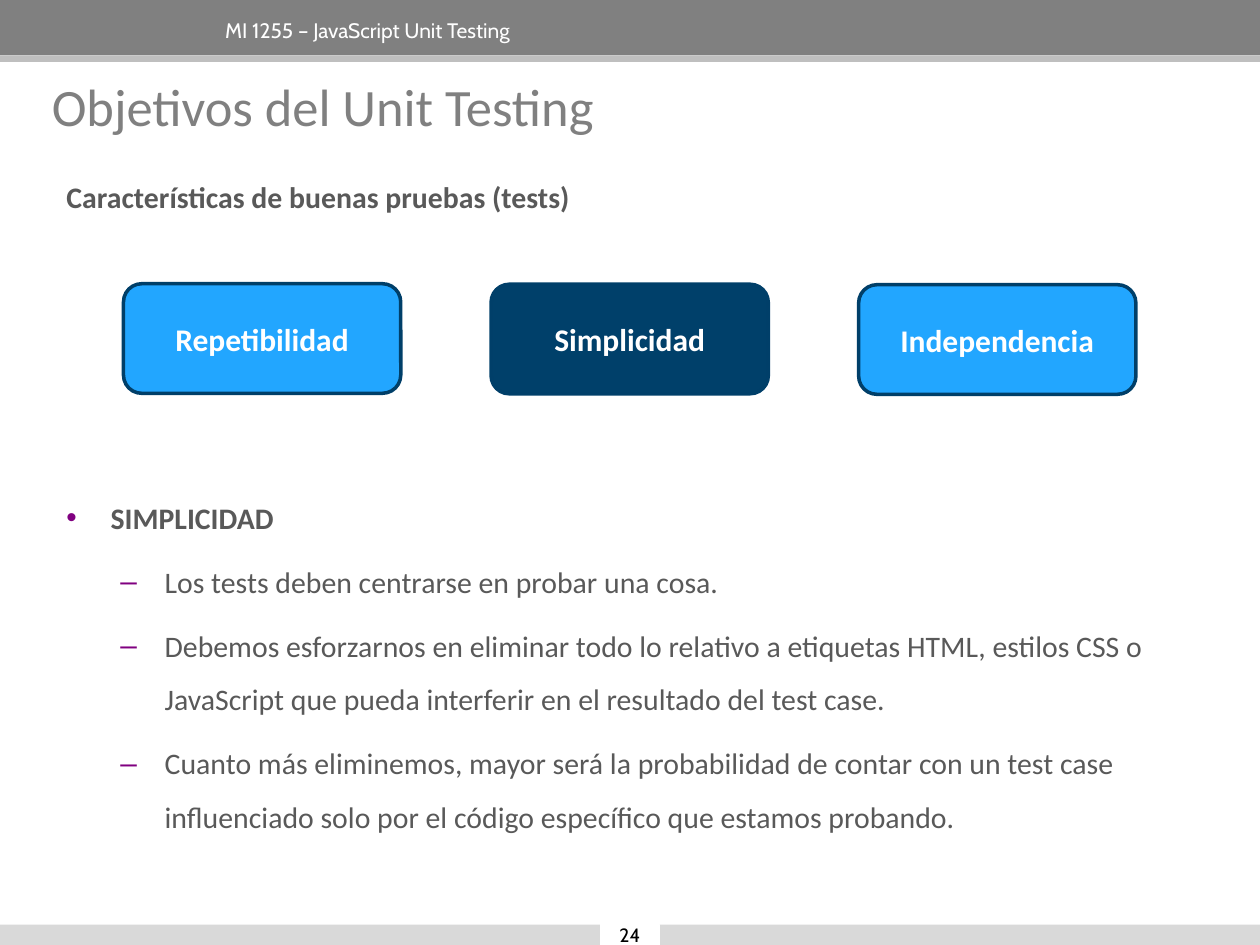
from lxml import etree
from pptx import Presentation
from pptx import util as u
from pptx.dml.color import RGBColor
from pptx.enum import shapes, text
from pptx.oxml.ns import qn

COLORS = {
    "header": "808080", "stripe": "BFBFBF", "footer": "D9D9D9", "white": "FFFFFF",
    "black": "000000", "body": "595959", "bullet": "800080",
    "option": "22A6FF", "chosen": "00406A", "border": "003F69",
}
FORMATS = {
    "header": {"name": "Cabin", "size": u.Pt(12), "color": "white"},
    "number": {"name": "Cabin", "size": u.Pt(11), "color": "black"},
    "title": {"name": "Calibri", "size": u.Pt(30), "color": "header"},
    "body": {"name": "Calibri", "size": u.Pt(17), "color": "body", "bold": False},
    "strong": {"name": "Calibri", "size": u.Pt(17), "color": "body", "bold": True},
    "option": {"name": "Calibri", "size": u.Pt(18), "color": "white", "bold": True},
}
SPACING = {"line_spacing": 1.5, "space_after": u.Pt(6)}
BULLETS = [("•", 0.89), ("–", 1.98)]
HANGING = 0.89
OBJECTIVES = [
    (0, "SIMPLICIDAD"),
    (1, "Los tests deben centrarse en probar una cosa."),
    (1, "Debemos esforzarnos en eliminar todo lo relativo a etiquetas HTML, estilos CSS o "
        "JavaScript que pueda interferir en el resultado del test case."),
    (1, "Cuanto más eliminemos, mayor será la probabilidad de contar con un test case "
        "influenciado solo por el código específico que estamos probando."),
]
OPTIONS = [("Repetibilidad", "option", 5.72), ("Simplicidad", "chosen", 5.73),
           ("Independencia", "option", 5.74)]


class SlideBuilder:
    """Holds the style and the current slide, and adds each kind of element."""

    def __init__(self, deck):
        self.page = deck.slides.add_slide(deck.slide_layouts[5])

    def add_words(self, para, words, style, **layout):
        span = para.add_run()
        span.text = words
        for key, value in FORMATS[style].items():
            if key == "color":
                span.font.color.rgb = RGBColor.from_string(COLORS[value])
            else:
                setattr(span.font, key, value)
        for key, value in layout.items():
            setattr(para, key, value)

    def title(self, words, left, top, width, height):
        box = self.page.shapes.title
        for key, value in zip(("left", "top", "width", "height"), (left, top, width, height)):
            setattr(box, key, u.Cm(value))
        frame = box.text_frame
        frame.vertical_anchor = text.MSO_ANCHOR.TOP
        frame.auto_size = text.MSO_AUTO_SIZE.NONE
        self.add_words(frame.paragraphs[0], words, "title", alignment=text.PP_ALIGN.LEFT)

    def text_box(self, *place):
        frame = self.page.shapes.add_textbox(*map(u.Cm, place)).text_frame
        frame.word_wrap = True
        return frame

    def bullets(self, items, *place):
        frame = self.text_box(*place)
        for index, (level, words) in enumerate(items):
            para = frame.add_paragraph() if index else frame.paragraphs[0]
            mark, margin = BULLETS[level]
            props = para._p.get_or_add_pPr()
            props.set("marL", str(u.Cm(margin)))
            props.set("indent", str(-u.Cm(HANGING)))
            color = etree.SubElement(props, qn("a:buClr"))
            etree.SubElement(color, qn("a:srgbClr"), val=COLORS["bullet"])
            etree.SubElement(props, qn("a:buFont"), typeface="Arial")
            etree.SubElement(props, qn("a:buChar"), char=mark)
            self.add_words(para, words, "body" if level else "strong", level=level, **SPACING)

    def block(self, fill, *place, kind=shapes.MSO_SHAPE.RECTANGLE, line=None, weight=0.75,
              words=None, style=None):
        box = self.page.shapes.add_shape(kind, *map(u.Cm, place))
        box.shadow.inherit = False
        box.fill.solid()
        box.fill.fore_color.rgb = RGBColor.from_string(COLORS[fill])
        if line:
            box.line.color.rgb = RGBColor.from_string(COLORS[line])
            box.line.width = u.Pt(weight)
        else:
            box.line.fill.background()
        if words:
            frame = box.text_frame
            for side in ("left", "top", "right", "bottom"):
                setattr(frame, f"margin_{side}", 0)
            frame.vertical_anchor = text.MSO_ANCHOR.MIDDLE
            self.add_words(frame.paragraphs[0], words, style, alignment=text.PP_ALIGN.CENTER)


def main():
    deck = Presentation()
    deck.slide_width, deck.slide_height = u.Cm(25.4), u.Cm(19.05)
    builder = SlideBuilder(deck)

    builder.block("header", 0, 0, 25.4, 1.12)
    builder.block("stripe", 0, 1.12, 25.4, 0.13)
    builder.block("footer", 0, 18.64, 25.4, 0.41)
    builder.block("white", 12.1, 18.64, 1.2, 0.41, line="white", words="24", style="number")
    header = builder.text_box(4.29, 0.23, 18.06, 0.79)
    builder.add_words(header.paragraphs[0], "MI 1255 – JavaScript Unit Testing", "header")

    builder.title("Objetivos del Unit Testing", 0.79, 1.36, 24.2, 1.6)
    heading = builder.text_box(1.09, 3.12, 23.65, 1.4)
    builder.add_words(heading.paragraphs[0], "Características de buenas pruebas (tests)",
                      "strong", **SPACING)

    for index, (words, fill, top) in enumerate(OPTIONS):
        builder.block(fill, 2.49 + 7.41 * index, top, 5.59, 2.21,
                      kind=shapes.MSO_SHAPE.ROUNDED_RECTANGLE, line="border", weight=2,
                      words=words, style="option")

    builder.bullets(OBJECTIVES, 1.09, 9.58, 23.65, 8.25)
    deck.save("out.pptx")


if __name__ == "__main__":
    main()
